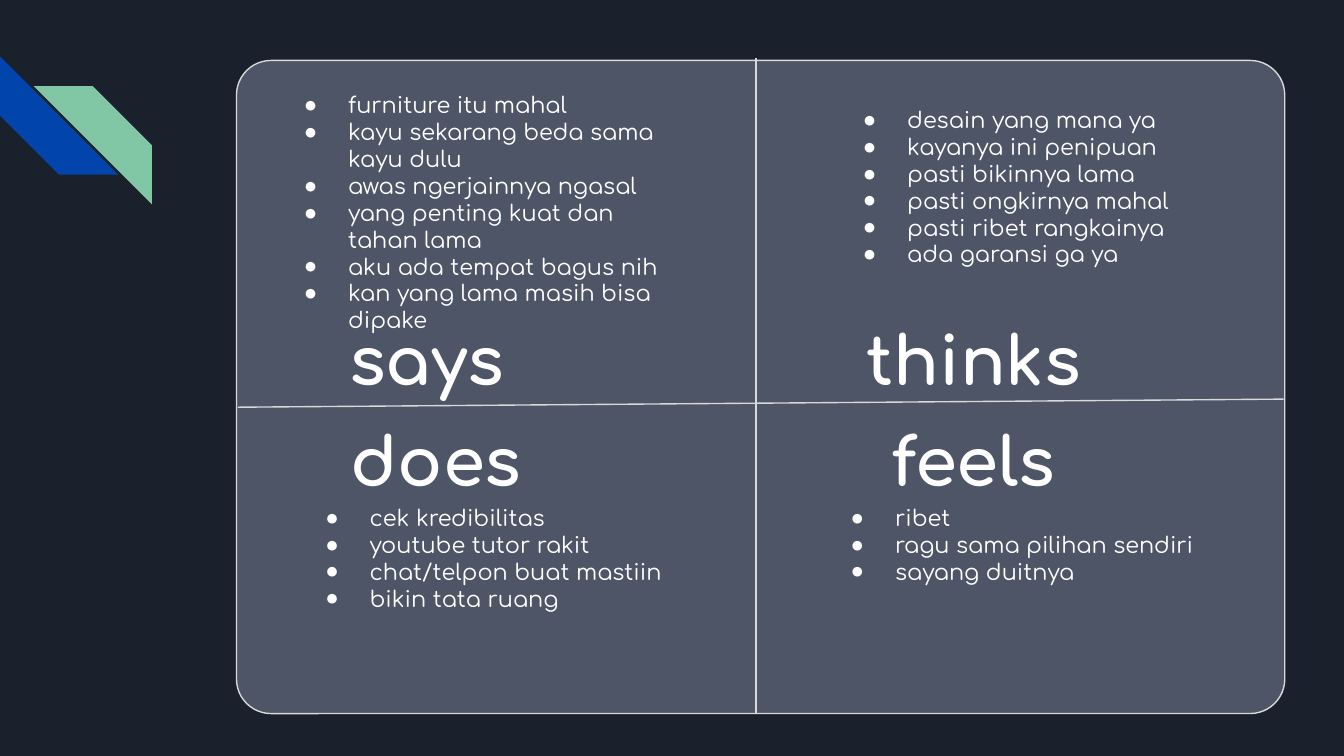
from dataclasses import dataclass

from lxml import etree
from pptx import Presentation
from pptx.dml.color import RGBColor
from pptx.enum.shapes import MSO_CONNECTOR, MSO_SHAPE
from pptx.enum.text import MSO_ANCHOR, MSO_AUTO_SIZE, PP_ALIGN
from pptx.oxml.ns import qn
from pptx.util import Inches, Pt

STRIPE = MSO_SHAPE.DIAGONAL_STRIPE
ROUNDED = MSO_SHAPE.ROUNDED_RECTANGLE
STRAIGHT = MSO_CONNECTOR.STRAIGHT
TOP, MIDDLE = MSO_ANCHOR.TOP, MSO_ANCHOR.MIDDLE
LEFT, CENTER = PP_ALIGN.LEFT, PP_ALIGN.CENTER
NO_FIT = MSO_AUTO_SIZE.NONE

NIGHT = RGBColor(0x1B, 0x21, 0x2C)
SLATE = RGBColor(0x4E, 0x55, 0x67)
BLUE = RGBColor(0x01, 0x45, 0xAC)
GREEN = RGBColor(0x82, 0xC7, 0xA5)
SILVER = RGBColor(0xD9, 0xD9, 0xD9)
WHITE = RGBColor(0xFF, 0xFF, 0xFF)
FONT = "Comfortaa"

WIDTH = Inches(10)
HEIGHT = WIDTH * 9 // 16
COL, ROW = WIDTH / 100, HEIGHT / 56.25
LIST_COLS, HEADING_COLS, HEADING_ROWS = 32.1, 21.9, 5.8
UPPER_HEADING_ROW, LOWER_HEADING_ROW = 23.8, 31.3
INSET = Inches(0.1)


@dataclass(frozen=True)
class Box:
    col: float
    row: float
    cols: float
    rows: float

    def emu(self) -> tuple[int, int, int, int]:
        return (round(self.col * COL), round(self.row * ROW),
                round(self.cols * COL), round(self.rows * ROW))


@dataclass(frozen=True)
class Quadrant:
    heading: str
    heading_col: float
    heading_row: float
    list_box: Box
    items: tuple[str, ...]


QUADRANTS = (
    Quadrant("says", 20.8, UPPER_HEADING_ROW, Box(19.9, 5.8, LIST_COLS, 25.5), (
        "furniture itu mahal",
        "kayu sekarang beda sama kayu dulu",
        "awas ngerjainnya ngasal",
        "yang penting kuat dan tahan lama",
        "aku ada tempat bagus nih",
        "kan yang lama masih bisa dipake")),
    Quadrant("thinks", 61.5, UPPER_HEADING_ROW, Box(61.5, 6.9, LIST_COLS, 25.5), (
        "desain yang mana ya",
        "kayanya ini penipuan",
        "pasti bikinnya lama",
        "pasti ongkirnya mahal",
        "pasti ribet rangkainya",
        "ada garansi ga ya")),
    Quadrant("does", 21.5, LOWER_HEADING_ROW, Box(21.5, 36.5, LIST_COLS, 10.2), (
        "cek kredibilitas",
        "youtube tutor rakit",
        "chat/telpon buat mastiin",
        "bikin tata ruang")),
    Quadrant("feels", 61.5, LOWER_HEADING_ROW, Box(60.6, 36.5, LIST_COLS, 10.2), (
        "ribet",
        "ragu sama pilihan sendiri",
        "sayang duitnya")),
)


def add_filled(s, kind, box: Box, color: RGBColor, adjustment: float):
    sp = s.shapes.add_shape(kind, *box.emu())
    sp.shadow.inherit = False
    sp.adjustments[0] = adjustment
    sp.fill.solid()
    sp.fill.fore_color.rgb = color
    sp.line.fill.background()
    return sp


def style_line(line) -> None:
    line.color.rgb = SILVER
    line.width = Pt(0.75)


def add_divider(s, col1: float, row1: float, col2: float, row2: float) -> None:
    line = s.shapes.add_connector(STRAIGHT, round(col1 * COL), round(row1 * ROW),
                                  round(col2 * COL), round(row2 * ROW))
    style_line(line.line)
    etree.SubElement(line._element.spPr, qn("a:effectLst"))


def set_text(sp, text: str, size: float, bold: bool, align, anchor) -> None:
    tf = sp.text_frame
    tf.text = text
    tf.word_wrap = True
    tf.auto_size = NO_FIT
    tf.vertical_anchor = anchor
    tf.margin_left = tf.margin_right = tf.margin_top = tf.margin_bottom = INSET
    for p in tf.paragraphs:
        p.alignment = align
        p.space_before = p.space_after = Pt(0)
        p.line_spacing = 1.0
        for r in p.runs:
            r.font.name = FONT
            r.font.size = Pt(size)
            r.font.bold = bold
            r.font.color.rgb = WHITE


def add_bullet(p) -> None:
    pPr = p._p.get_or_add_pPr()
    pPr.set("marL", str(Inches(0.5)))
    pPr.set("indent", str(-Inches(0.33)))
    color = etree.SubElement(pPr, qn("a:buClr"))
    etree.SubElement(color, qn("a:srgbClr"), val=str(WHITE))
    etree.SubElement(pPr, qn("a:buFont"), typeface="Arial")
    etree.SubElement(pPr, qn("a:buChar"), char="●")


def fill_quadrant(s, sp, quadrant: Quadrant) -> None:
    sp.left, sp.top, sp.width, sp.height = quadrant.list_box.emu()
    set_text(sp, "\n".join(quadrant.items), 12, False, LEFT, TOP)
    for p in sp.text_frame.paragraphs:
        add_bullet(p)
    s.shapes._spTree.append(sp._element)

    box = Box(quadrant.heading_col, quadrant.heading_row, HEADING_COLS, HEADING_ROWS)
    heading = s.shapes.add_textbox(*box.emu())
    set_text(heading, quadrant.heading, 36, True, CENTER, MIDDLE)


def main() -> None:
    prs = Presentation()
    prs.slide_width, prs.slide_height = WIDTH, HEIGHT
    s = prs.slides.add_slide(prs.slide_layouts.get_by_name("Comparison"))
    s.background.fill.solid()
    s.background.fill.fore_color.rgb = NIGHT
    title = s.shapes.title._element
    title.getparent().remove(title)

    blue = add_filled(s, STRIPE, Box(0, 4.2, 8.8, 8.8), BLUE, 0.5)
    blue.rotation = 270
    green = add_filled(s, STRIPE, Box(2.5, 6.4, 8.8, 8.8), GREEN, 0.5)
    green._element.spPr.find(qn("a:xfrm")).set("flipH", "1")
    card = add_filled(s, ROUNDED, Box(17.6, 4.5, 78, 48.6), SLATE, 0.053)
    style_line(card.line)

    for sp, quadrant in zip(list(s.placeholders), QUADRANTS):
        fill_quadrant(s, sp, quadrant)

    add_divider(s, 17.7, 30.3, 95.5, 29.7)
    add_divider(s, 56.25, 4.3, 56.25, 53.1)
    prs.save("out.pptx")


if __name__ == "__main__":
    main()
